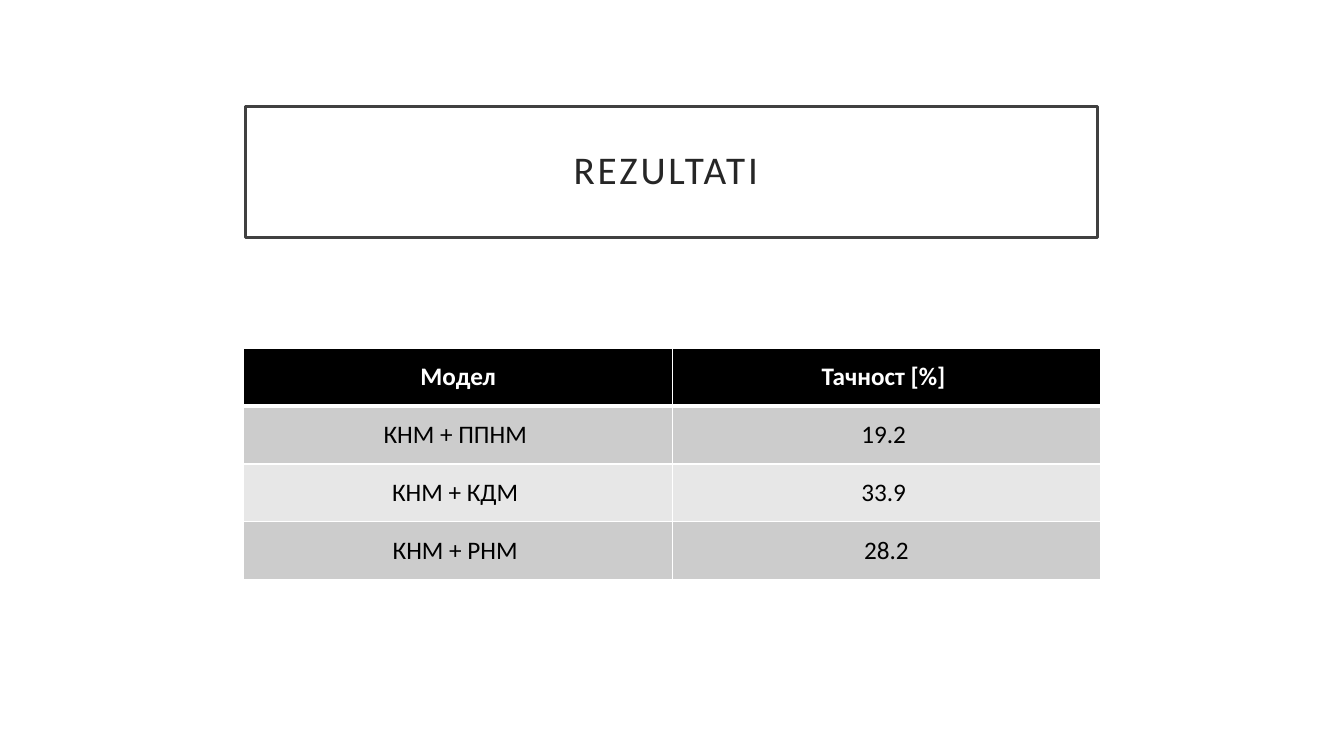
from dataclasses import dataclass

from lxml import etree
from pptx import Presentation
from pptx.dml.color import RGBColor
from pptx.enum.text import MSO_ANCHOR, MSO_AUTO_SIZE, PP_ALIGN
from pptx.oxml.ns import qn
from pptx.util import Pt

CENTER = PP_ALIGN.CENTER
MIDDLE = MSO_ANCHOR.MIDDLE
NO_AUTOFIT = MSO_AUTO_SIZE.NONE
TITLE_ONLY = 5


@dataclass(frozen=True)
class Theme:
    font: str = "Calibri"
    title_size: int = 28
    table_size: int = 18
    white: str = "FFFFFF"
    black: str = "000000"
    title_text: str = "262626"
    title_line: str = "404040"
    bands: tuple = ("CCCCCC", "E7E7E7")


THEME = Theme()

RESULTS = [
    ("Модел", "Тачност [%] "),
    ("КНМ + ППНМ ", "19.2 "),
    ("КНМ + КДМ ", "33.9 "),
    ("КНМ + РНМ ", "28.2"),
]


def fill_solid(item, color):
    item.fill.solid()
    item.fill.fore_color.rgb = RGBColor.from_string(color)


def format_paragraph(paragraph, size, color, bold=False):
    paragraph.alignment = CENTER
    font = paragraph.font
    font.name = THEME.font
    font.size = Pt(size)
    font.bold = bold
    font.color.rgb = RGBColor.from_string(color)


def add_title(slide, text, left, top, width, height):
    title = slide.shapes.title
    title.left, title.top, title.width, title.height = map(Pt, (left, top, width, height))
    fill_solid(title, THEME.white)
    title.line.color.rgb = RGBColor.from_string(THEME.title_line)
    title.line.width = Pt(2.5)

    frame = title.text_frame
    frame.text = text
    frame.word_wrap = True
    frame.auto_size = NO_AUTOFIT
    frame.vertical_anchor = MIDDLE
    frame.margin_left = frame.margin_right = Pt(14.4)
    frame.margin_top = frame.margin_bottom = Pt(14.4)
    paragraph = frame.paragraphs[0]
    format_paragraph(paragraph, THEME.title_size, THEME.title_text)
    paragraph.line_spacing = 0.9
    paragraph.runs[0].font._element.set("spc", "200")


def set_borders(cell, top, bottom):
    """Draw white cell borders; top and bottom are widths in points."""
    properties = cell._tc.get_or_add_tcPr()
    widths = {"a:lnL": 1, "a:lnR": 1, "a:lnT": top, "a:lnB": bottom}
    for tag, width in widths.items():
        line = etree.SubElement(properties, qn(tag), w=str(Pt(width)))
        solid = etree.SubElement(line, qn("a:solidFill"))
        etree.SubElement(solid, qn("a:srgbClr"), val=THEME.white)


def format_cell(cell, text, row):
    is_header = row == 0
    cell.text = text
    cell.vertical_anchor = MIDDLE
    text_color = THEME.white if is_header else THEME.black
    format_paragraph(cell.text_frame.paragraphs[0], THEME.table_size, text_color, is_header)
    set_borders(cell, top=3 if row == 1 else 1, bottom=3 if is_header else 1)
    fill_solid(cell, THEME.black if is_header else THEME.bands[(row - 1) % 2])


def add_results_table(slide, rows, left, top, width, height):
    frame = slide.shapes.add_table(
        len(rows), len(rows[0]), Pt(left), Pt(top), Pt(width), Pt(height))
    for row, texts in enumerate(rows):
        for column, text in enumerate(texts):
            format_cell(frame.table.cell(row, column), text, row)


def main():
    presentation = Presentation()
    presentation.slide_width = Pt(960)
    presentation.slide_height = Pt(540)
    slide = presentation.slides.add_slide(presentation.slide_layouts[TITLE_ONLY])
    fill_solid(slide.background, THEME.white)
    add_title(slide, "REZULTATI ", 175.5, 75.9, 608.6, 93.6)
    add_results_table(slide, RESULTS, 174.2, 248.6, 612, 165.6)
    presentation.save("out.pptx")


if __name__ == "__main__":
    main()
